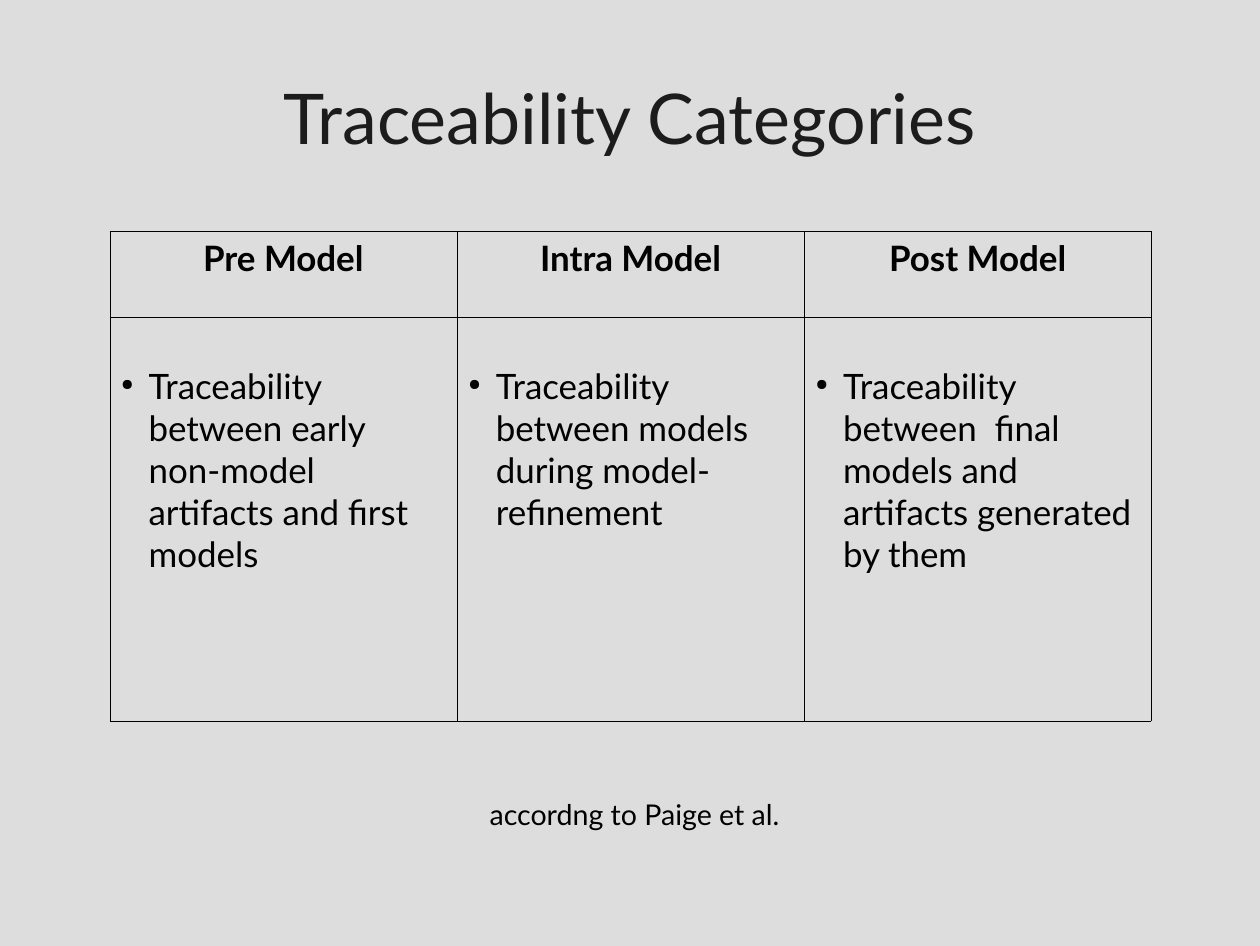
from lxml import etree
from pptx import Presentation
from pptx.dml.color import RGBColor
from pptx.enum.text import MSO_ANCHOR, PP_ALIGN
from pptx.oxml.ns import qn
from pptx.util import Inches, Pt

CENTER, LEFT = PP_ALIGN.CENTER, PP_ALIGN.LEFT
TOP, MIDDLE = MSO_ANCHOR.TOP, MSO_ANCHOR.MIDDLE

BACKGROUND = RGBColor(0xDD, 0xDD, 0xDD)
TITLE_COLOR = RGBColor(0x1C, 0x1C, 0x1C)
BLACK = RGBColor(0, 0, 0)

FONT = "Lato"
WIDTH, HEIGHT = Inches(11.02), Inches(8.27)
BORDER = Pt(0.06)
INDENT = Inches(0.24)
SIDE_INSET, EDGE_INSET = Inches(0.1), Inches(0.05)
BODY_TOP_INSET = Inches(0.42)
HEADER_SHARE, BODY_SHARE = 9.07, 42.68

CATEGORIES = {
    "Pre Model": "Traceability between early non-model artifacts and first models",
    "Intra Model": "Traceability between models during model-refinement",
    "Post Model": "Traceability between  final models and artifacts generated by them",
}


def across(percent):
    return round(WIDTH * percent / 100)


def down(percent):
    return round(HEIGHT * percent / 100)


def add_element(parent, tag, **attributes):
    return etree.SubElement(parent, qn(tag), attributes)


def add_bullet(paragraph):
    properties = paragraph._p.get_or_add_pPr()
    properties.set("marL", str(INDENT))
    properties.set("indent", str(-INDENT))
    color = add_element(properties, "a:buClr")
    add_element(color, "a:srgbClr", val=str(BLACK))
    add_element(properties, "a:buSzPct", val="45000")
    add_element(properties, "a:buChar", char="●")


def write_text(frame, text, size=22, color=BLACK, bold=False, align=LEFT, bullet=False):
    frame.word_wrap = True
    paragraph = frame.paragraphs[0]
    if bullet:
        add_bullet(paragraph)
    paragraph.alignment = align
    run = paragraph.add_run()
    run.text = text
    run.font.name = FONT
    run.font.size = Pt(size)
    run.font.bold = bold
    run.font.color.rgb = color


def set_insets(holder, side=SIDE_INSET, top=EDGE_INSET, bottom=EDGE_INSET):
    holder.margin_left = holder.margin_right = side
    holder.margin_top, holder.margin_bottom = top, bottom


def add_text_box(slide, text, left, top, width, height, anchor=TOP, **text_format):
    box = slide.shapes.add_textbox(across(left), down(top), across(width), down(height))
    set_insets(box.text_frame)
    box.text_frame.vertical_anchor = anchor
    write_text(box.text_frame, text, **text_format)
    return box


def fill_cell(cell, text, top_inset=EDGE_INSET, **text_format):
    # Borders come before the fill in the cell properties
    properties = cell._tc.get_or_add_tcPr()
    for side in ("a:lnL", "a:lnR", "a:lnT", "a:lnB"):
        line = add_element(properties, side, w=str(BORDER))
        fill = add_element(line, "a:solidFill")
        add_element(fill, "a:srgbClr", val=str(BLACK))
    cell.fill.background()
    set_insets(cell, top=top_inset)
    write_text(cell.text_frame, text, **text_format)


def add_category_table(slide, left, top, width):
    frame = slide.shapes.add_table(
        2, len(CATEGORIES), across(left), down(top),
        across(width), down(HEADER_SHARE + BODY_SHARE))
    table = frame.table
    table.first_row = table.horz_banding = False
    table.rows[0].height = down(HEADER_SHARE)
    table.rows[1].height = down(BODY_SHARE)
    for index, (heading, description) in enumerate(CATEGORIES.items()):
        table.columns[index].width = across(width / len(CATEGORIES))
        fill_cell(table.cell(0, index), heading, bold=True, align=CENTER)
        fill_cell(table.cell(1, index), description, top_inset=BODY_TOP_INSET, bullet=True)


def main():
    presentation = Presentation()
    presentation.slide_width, presentation.slide_height = WIDTH, HEIGHT
    slide = presentation.slides.add_slide(presentation.slide_layouts[6])
    slide.background.fill.solid()
    slide.background.fill.fore_color.rgb = BACKGROUND

    # Title
    title = add_text_box(slide, "Traceability Categories", 5, 4, 90, 16.69,
                         anchor=MIDDLE, size=44, color=TITLE_COLOR, align=CENTER)
    set_insets(title.text_frame, side=0, top=0, bottom=0)

    # Categories
    add_category_table(slide, 8.71, 24.43, 82.67)

    # Source of the categories
    add_text_box(slide, "accordng to Paige et al.", 25.41, 83.68, 49.91, 5.32,
                 size=18, align=CENTER)

    presentation.save("out.pptx")


if __name__ == "__main__":
    main()
